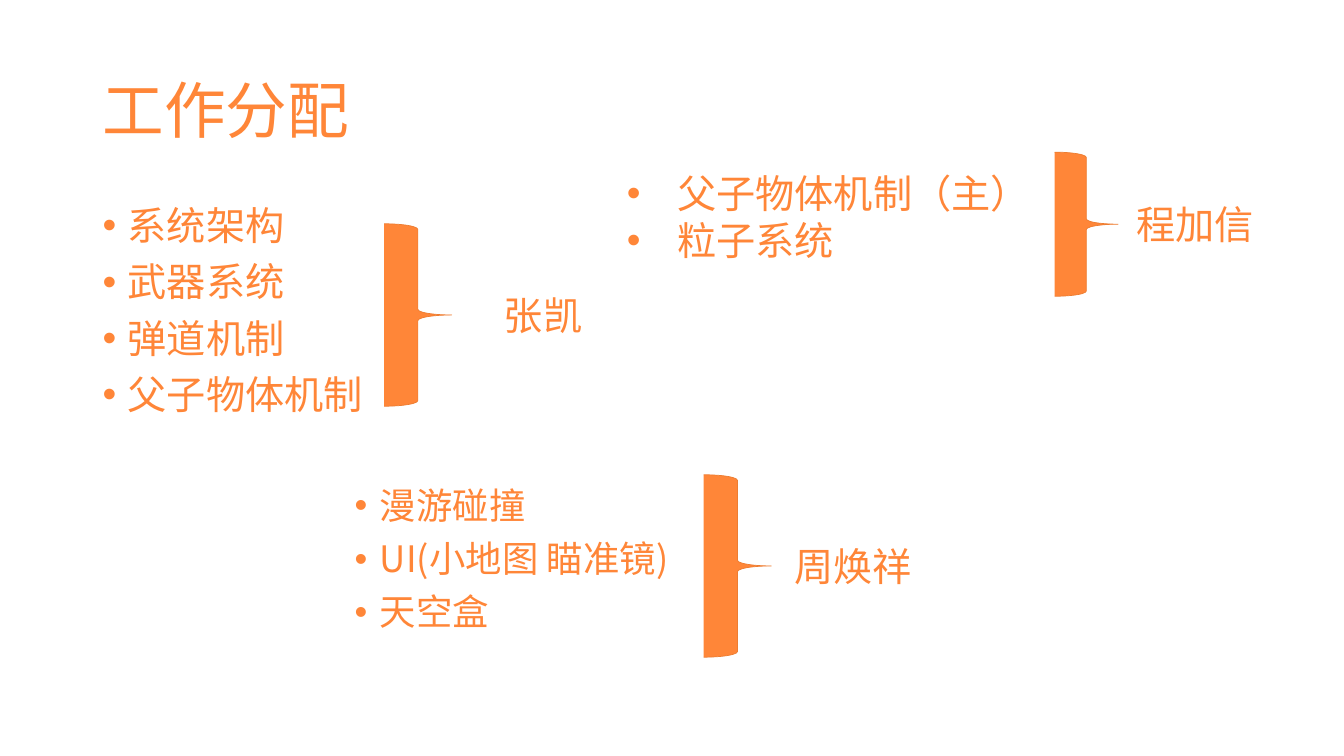
"""Build the work allocation slide: task lists braced to the people in charge."""
from typing import NamedTuple

from lxml import etree
from pptx import Presentation
from pptx import util as u
from pptx.dml.color import RGBColor
from pptx.enum import shapes, text
from pptx.oxml.ns import qn

WIDE, HIGH = u.Inches(13.33), u.Inches(7.5)
COLS, ROWS = 133.3, 75
FONT = "Noto Sans CJK SC"
HUES = {"main": "FF8638", "edge": "ED7D31"}


class Box(NamedTuple):
    left: float
    top: float
    width: float
    height: float


class Item(NamedTuple):
    words: str
    size: float = 28
    indent: float = 0
    hang: float = 0
    before: float = 0
    lines: float = 1


class Block(NamedTuple):
    box: Box
    items: list[Item]
    wrap: bool = True
    middle: bool = False


def task(words: str, size: float = 28, indent: float = 2.5, before: float = 10) -> Item:
    return Item(words, size, indent, 2.5, before, 0.9)


BLOCKS = [
    Block(Box(9.2, 4, 115, 14.5), [Item("工作分配", 44, lines=0.9)], middle=True),
    Block(Box(9.2, 20, 115, 51.6), [
        task("系统架构"),
        task("武器系统"),
        task("弹道机制"),
        task("父子物体机制"),
        task("漫游碰撞", 26, 27.5, 50),
        task("UI(小地图 瞄准镜)", 26, 27.5),
        task("天空盒", 26, 27.5),
    ]),
    Block(Box(61.2, 16.3, 42.6, 10.4), [
        Item("父子物体机制（主）", indent=5, hang=5),
        Item("粒子系统", indent=5, hang=5),
    ]),
    Block(Box(49, 28.4, 9.9, 5.7), [Item("张凯")], wrap=False),
    Block(Box(77.8, 53.3, 13.8, 5.7), [Item("周焕祥")], wrap=False),
    Block(Box(111.7, 19.4, 13.8, 5.7), [Item("程加信")], wrap=False),
]
BRACES = [
    Box(38.1, 22.2, 6.7, 18.1),
    Box(69.8, 47.1, 6.7, 18.1),
    Box(104.6, 15.1, 6.3, 14.3),
]


def across(cols: float) -> int:
    return round(WIDE * cols / COLS)


def down(rows: float) -> int:
    return round(HIGH * rows / ROWS)


def place(box: Box) -> tuple[int, int, int, int]:
    return across(box.left), down(box.top), across(box.width), down(box.height)


def hue(name: str) -> RGBColor:
    return RGBColor.from_string(HUES[name])


def style(para, item: Item) -> None:
    para.text = item.words
    para.line_spacing = item.lines
    para.space_before = u.Pt(item.before)
    for run in para.runs:
        run.font.size = u.Pt(item.size)
        run.font.name = FONT
        run.font.color.rgb = hue("main")
        etree.SubElement(run.font._element, qn("a:ea"), typeface=FONT)
    if item.hang:
        props = para._p.get_or_add_pPr()
        props.set("marL", str(across(item.indent)))
        props.set("indent", str(-across(item.hang)))
        etree.SubElement(props, qn("a:buFont"), typeface="Arial")
        etree.SubElement(props, qn("a:buChar"), char="•")


def write(slide, block: Block) -> None:
    frame = slide.shapes.add_textbox(*place(block.box)).text_frame
    frame.word_wrap = block.wrap
    if block.middle:
        frame.vertical_anchor = text.MSO_ANCHOR.MIDDLE
    frame.text = "\n".join(item.words for item in block.items)
    for para, item in zip(frame.paragraphs, block.items):
        style(para, item)


def brace(slide, box: Box) -> None:
    shape = slide.shapes.add_shape(shapes.MSO_SHAPE.RIGHT_BRACE, *place(box))
    shape.shadow.inherit = False
    shape.fill.solid()
    shape.fill.fore_color.rgb = hue("main")
    shape.line.color.rgb = hue("edge")
    shape.line.width = u.Pt(0.5)


def main() -> None:
    deck = Presentation()
    deck.slide_width, deck.slide_height = WIDE, HIGH
    slide = deck.slides.add_slide(deck.slide_layouts[6])
    for block in BLOCKS:
        write(slide, block)
    for box in BRACES:
        brace(slide, box)
    deck.save("out.pptx")


if __name__ == "__main__":
    main()
